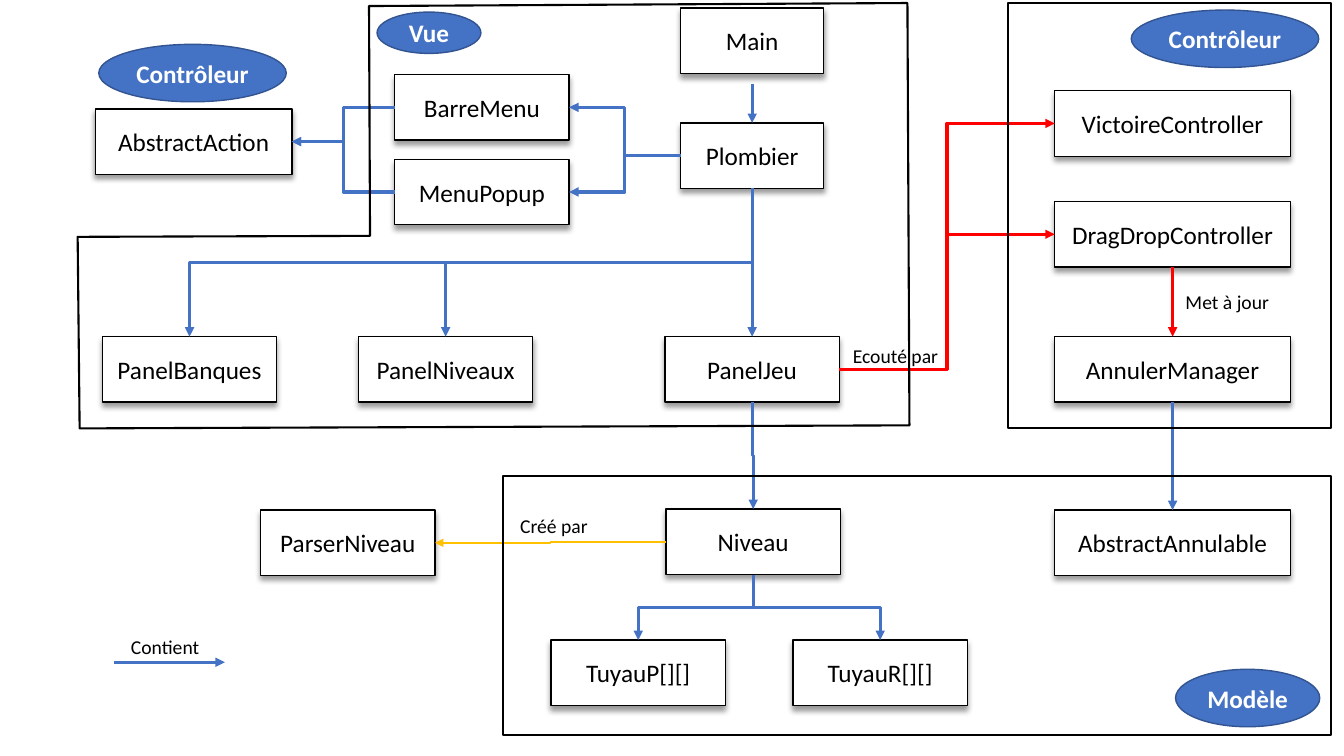
from lxml import etree
from pptx import Presentation
from pptx.dml.color import RGBColor
from pptx.enum.shapes import MSO_CONNECTOR as Link, MSO_SHAPE as Shape
from pptx.enum.text import MSO_ANCHOR, MSO_AUTO_SIZE, PP_ALIGN
from pptx.oxml.ns import qn
from pptx.util import Inches, Pt

BLACK = RGBColor(0x00, 0x00, 0x00)
WHITE = RGBColor(0xFF, 0xFF, 0xFF)
BLUE = RGBColor(0x44, 0x72, 0xC4)
DARK_BLUE = RGBColor(0x32, 0x54, 0x91)
RED = RGBColor(0xFF, 0x00, 0x00)
GOLD = RGBColor(0xFF, 0xC0, 0x00)

BOX_HEIGHT = 0.65
TOP, LEFT, BOTTOM, RIGHT = range(4)

# name: centre x, top, width
BOXES = {
    "Main": (7.46, 0.08, 1.42),
    "Plombier": (7.46, 1.22, 1.42),
    "BarreMenu": (4.78, 0.74, 1.73),
    "MenuPopup": (4.78, 1.58, 1.73),
    "AbstractAction": (1.92, 1.08, 1.95),
    "PanelBanques": (1.88, 3.34, 1.73),
    "PanelNiveaux": (4.42, 3.34, 1.73),
    "PanelJeu": (7.46, 3.34, 1.73),
    "Niveau": (7.47, 5.05, 1.73),
    "ParserNiveau": (3.45, 5.06, 1.73),
    "TuyauP[][]": (6.33, 6.35, 1.73),
    "TuyauR[][]": (8.73, 6.35, 1.73),
    "VictoireController": (11.63, 0.9, 2.34),
    "DragDropController": (11.63, 2, 2.34),
    "AnnulerManager": (11.63, 3.34, 2.34),
    "AbstractAnnulable": (11.63, 5.06, 2.34),
}

# from, side, to, side, colour, width
ARROWS = [
    ("Plombier", BOTTOM, "PanelBanques", TOP, BLUE, 2.25),
    ("Plombier", BOTTOM, "PanelNiveaux", TOP, BLUE, 2.25),
    ("Plombier", BOTTOM, "PanelJeu", TOP, BLUE, 2.25),
    ("Plombier", LEFT, "BarreMenu", RIGHT, BLUE, 2.25),
    ("Plombier", LEFT, "MenuPopup", RIGHT, BLUE, 2.25),
    ("BarreMenu", LEFT, "AbstractAction", RIGHT, BLUE, 2.25),
    ("MenuPopup", LEFT, "AbstractAction", RIGHT, BLUE, 2.25),
    ("PanelJeu", BOTTOM, "Niveau", TOP, BLUE, 2.25),
    ("Niveau", LEFT, "ParserNiveau", RIGHT, GOLD, 1),
    ("Niveau", BOTTOM, "TuyauP[][]", TOP, BLUE, 2.25),
    ("Niveau", BOTTOM, "TuyauR[][]", TOP, BLUE, 2.25),
    ("PanelJeu", RIGHT, "VictoireController", LEFT, RED, 2.25),
    ("PanelJeu", RIGHT, "DragDropController", LEFT, RED, 2.25),
    ("DragDropController", BOTTOM, "AnnulerManager", TOP, RED, 2.25),
    ("AnnulerManager", BOTTOM, "AbstractAnnulable", TOP, BLUE, 2.25),
]

LABELS = [
    ("Créé par", 5.06, 5.05, 0.9),
    ("Ecouté par", 8.36, 3.36, 1.06),
    ("Contient", 1.2, 6.25, 1.06),
    ("Met à jour", 11.66, 2.83, 1.06),
]

VIEW_OUTLINE = [(3.66, 0.06), (3.67, 2.34), (0.77, 2.35), (0.79, 4.25), (9.02, 4.22), (9, 0.03)]
FRAMES = [(10, 0.03, 3.2, 4.22), (4.99, 4.72, 8.21, 2.57)]

BADGES = [
    ("Vue", 3.74, 0.12, 1.03, 0.41),
    ("Modèle", 11.66, 6.64, 1.43, 0.57),
    ("Contrôleur", 11.22, 0.1, 1.86, 0.57),
    ("Contrôleur", 0.98, 0.44, 1.86, 0.57),
]


def write(shape, text, size, color, bold=False):
    para = shape.text_frame.paragraphs[0]
    para.text = text
    font = para.runs[0].font
    font.name, font.size, font.bold = "Calibri", Pt(size), bold
    font.color.rgb = color
    return para


def add_filled(slide, kind, text, place, fill, line, color, bold=False):
    shape = slide.shapes.add_shape(kind, *map(Inches, place))
    shape.shadow.inherit = False
    shape.fill.solid()
    shape.fill.fore_color.rgb = fill
    shape.line.color.rgb = line
    shape.line.width = Pt(1)
    shape.text_frame.vertical_anchor = MSO_ANCHOR.MIDDLE
    shape.text_frame.word_wrap = True
    write(shape, text, 18, color, bold).alignment = PP_ALIGN.CENTER
    return shape


def add_drop_shadow(shape):
    effects = shape.element.spPr.find(qn("a:effectLst"))
    shadow = etree.SubElement(effects, qn("a:outerShdw"), blurRad=str(Pt(4)), dist=str(Pt(3)),
                              dir="5400000", algn="t", rotWithShape="0")
    tint = etree.SubElement(shadow, qn("a:srgbClr"), val=str(BLACK))
    etree.SubElement(tint, qn("a:alpha"), val="40000")


def add_class_box(slide, name, centre, top, width):
    place = (centre - width / 2, top, width, BOX_HEIGHT)
    box = add_filled(slide, Shape.RECTANGLE, name, place, WHITE, BLACK, BLACK)
    add_drop_shadow(box)
    return box


def style_arrow(connector, color, width):
    connector.line.color.rgb = color
    connector.line.width = Pt(width)
    etree.SubElement(connector.line._get_or_add_ln(), qn("a:tailEnd"), type="triangle")
    etree.SubElement(connector.element.spPr, qn("a:effectLst"))


def turn_downwards(connector):
    """Rotate an elbow so that it leaves and arrives vertically."""
    start_x, start_y = connector.begin_x, connector.begin_y
    end_x, end_y = connector.end_x, connector.end_y
    length, spread = end_y - start_y, abs(end_x - start_x)
    goes_right = end_x > start_x
    connector.left = (start_x + end_x - length) // 2
    connector.top = (start_y + end_y - spread) // 2
    connector.width, connector.height = length, spread
    frame = connector.element.spPr.xfrm
    frame.rot = 270 if goes_right else 90
    frame.flipH = goes_right


def join(slide, start, start_side, end, end_side, color, width):
    vertical = start_side == BOTTOM
    aligned = vertical and start.left + start.width // 2 == end.left + end.width // 2
    kind = Link.STRAIGHT if aligned else Link.ELBOW
    connector = slide.shapes.add_connector(kind, 0, 0, 0, 0)
    connector.begin_connect(start, start_side)
    connector.end_connect(end, end_side)
    if vertical and not aligned:
        turn_downwards(connector)
    style_arrow(connector, color, width)


def add_straight_arrow(slide, *ends):
    connector = slide.shapes.add_connector(Link.STRAIGHT, *map(Inches, ends))
    style_arrow(connector, BLUE, 2.25)
    return connector


def add_label(slide, text, left, top, width):
    label = slide.shapes.add_textbox(*map(Inches, (left, top, width, 0.34)))
    label.text_frame.word_wrap = True
    label.text_frame.auto_size = MSO_AUTO_SIZE.SHAPE_TO_FIT_TEXT
    write(label, text, 14, BLACK)


def style_frame(shape):
    shape.shadow.inherit = False
    shape.fill.background()
    shape.line.color.rgb = BLACK
    shape.line.width = Pt(1.5)


def add_frames(slide):
    first, *others = [(Inches(x), Inches(y)) for x, y in VIEW_OUTLINE]
    builder = slide.shapes.build_freeform(*first)
    builder.add_line_segments(others, close=True)
    style_frame(builder.convert_to_shape())
    for place in FRAMES:
        style_frame(slide.shapes.add_shape(Shape.RECTANGLE, *map(Inches, place)))


def main():
    deck = Presentation()
    deck.slide_width, deck.slide_height = Inches(13.33), Inches(7.5)
    slide = deck.slides.add_slide(deck.slide_layouts[6])
    boxes = {name: add_class_box(slide, name, *place) for name, place in BOXES.items()}
    for start, start_side, end, end_side, color, width in ARROWS:
        join(slide, boxes[start], start_side, boxes[end], end_side, color, width)
    add_straight_arrow(slide, 7.46, 0.83, 7.46, 1.22).end_connect(boxes["Plombier"], TOP)
    add_straight_arrow(slide, 1.13, 6.57, 2.23, 6.57)
    for label in LABELS:
        add_label(slide, *label)
    add_frames(slide)
    for text, *place in BADGES:
        add_filled(slide, Shape.OVAL, text, place, BLUE, DARK_BLUE, WHITE, bold=True)
    deck.save("out.pptx")


if __name__ == "__main__":
    main()
